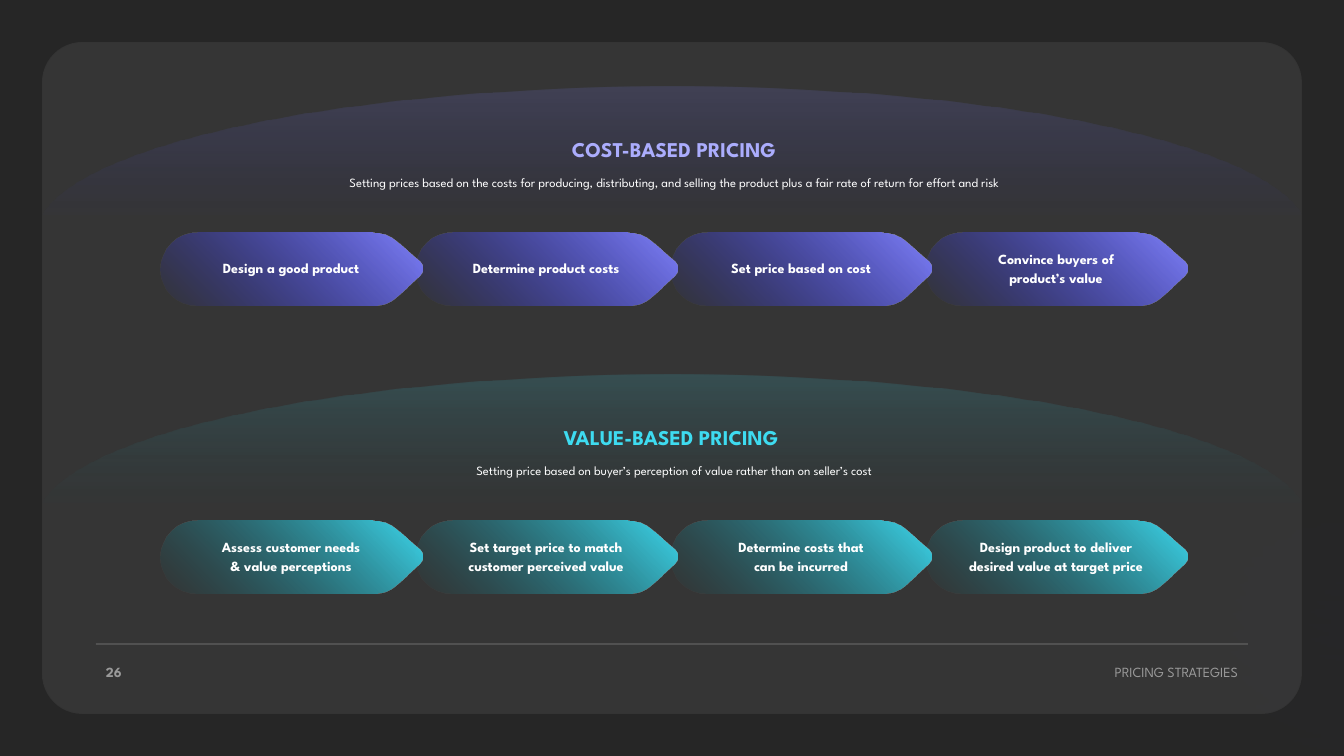
from lxml.etree import SubElement
from pptx import Presentation
from pptx.dml.color import RGBColor
from pptx.enum.shapes import MSO_CONNECTOR, MSO_SHAPE
from pptx.enum.text import MSO_ANCHOR, MSO_AUTO_SIZE, PP_ALIGN
from pptx.oxml import parse_xml
from pptx.oxml.ns import nsdecls, qn
from pptx.util import Pt

FONT = "League Spartan"
WHITE = RGBColor(0xFF, 0xFF, 0xFF)
DARK = RGBColor(0x26, 0x26, 0x26)
GREY = RGBColor(0x59, 0x59, 0x59)
BLUE = RGBColor(0x2D, 0x31, 0xFA)
VIOLET = RGBColor(0x81, 0x83, 0xFC)
LILAC = RGBColor(0xAB, 0xAD, 0xFD)
TEAL = RGBColor(0x0B, 0x7D, 0x8C)
CYAN = RGBColor(0x3E, 0xDB, 0xF0)

PAGE = "26"
FOOTER = "PRICING STRATEGIES"
BANDS = [
    dict(title="COST-BASED PRICING", center=674, top=131, color=LILAC, light=VIOLET, deep=BLUE,
         note="Setting prices based on the costs for producing, distributing, and selling "
              "the product plus a fair rate of return for effort and risk",
         steps=["Design a good product", "Determine product costs",
                "Set price based on cost", "Convince buyers of\nproduct’s value"]),
    dict(title="VALUE-BASED PRICING", center=671, top=420, color=CYAN, light=CYAN, deep=TEAL,
         note="Setting price based on buyer’s perception of value rather than on seller’s cost",
         steps=["Assess customer needs\n& value perceptions",
                "Set target price to match\ncustomer perceived value",
                "Determine costs that\ncan be incurred",
                "Design product to deliver\ndesired value at target price"]),
]
GLOWS = [(-316, -109, 1043, 0), (823, -81, 1042, 195)]
GLOW_SOFTNESS = 280
ARROW_SIZE = (260, 73)
ARROW = [
    ("moveTo", [(234, 8)]),
    ("lnTo", [(258, 29)]),
    ("cubicBezTo", [(262, 33), (262, 39), (258, 43)]),
    ("lnTo", [(234, 65)]),
    ("cubicBezTo", [(228, 70), (220, 73), (211, 73)]),
    ("lnTo", [(37, 73)]),
    ("cubicBezTo", [(17, 73), (0, 57), (0, 37)]),
    ("cubicBezTo", [(0, 16), (17, 0), (37, 0)]),
    ("lnTo", [(211, 0)]),
    ("cubicBezTo", [(220, 0), (228, 3), (234, 8)]),
    ("close", []),
]
STEP_LEFT, STEP_PITCH, BAND_PITCH = 161, 255, 288
SCALE = 914400 / 100.8


def px(n):
    return round(n * SCALE)


def set_alpha(holder, percent):
    for clr in holder.iter(qn("a:srgbClr")):
        SubElement(clr, qn("a:alpha")).set("val", str(percent * 1000))


def set_gradient(shape, stops, shade):
    gs = "".join(
        f'<a:gs pos="{pos * 1000}"><a:srgbClr val="{color}">'
        f'<a:alpha val="{alpha * 1000}"/></a:srgbClr></a:gs>' for pos, color, alpha in stops)
    shape.fill.background()
    old = shape._element.spPr.find(qn("a:noFill"))
    old.getparent().replace(old, parse_xml(
        f'<a:gradFill {nsdecls("a")} rotWithShape="1"><a:gsLst>{gs}</a:gsLst>{shade}</a:gradFill>'))
    shape.line.fill.background()
    shape.shadow.inherit = False


def circle_shade(l, t, r, b):
    return (f'<a:path path="circle"><a:fillToRect l="{l * 1000}" t="{t * 1000}" '
            f'r="{r * 1000}" b="{b * 1000}"/></a:path>')


def write(tf, text, size=10, color=WHITE, bold=False, align=PP_ALIGN.CENTER,
          anchor=MSO_ANCHOR.TOP, wrap=False, spacing=None, alpha=None):
    tf.word_wrap, tf.vertical_anchor = wrap, anchor
    tf.auto_size = MSO_AUTO_SIZE.NONE if wrap else MSO_AUTO_SIZE.SHAPE_TO_FIT_TEXT
    for i, line in enumerate(text.split("\n")):
        p = tf.add_paragraph() if i else tf.paragraphs[0]
        p.alignment = align
        if spacing:
            p.line_spacing = Pt(spacing)
        r = p.add_run()
        r.text = line
        r.font.name, r.font.size, r.font.bold = FONT, Pt(size), bold
        r.font.color.rgb = color
        if alpha:
            set_alpha(r._r, alpha)


def add_shape(s, kind, x, y, w, h):
    return s.shapes.add_shape(kind, px(x), px(y), px(w), px(h))


def add_text(s, x, y, w, h, text, **fmt):
    box = s.shapes.add_textbox(px(x), px(y), px(w), px(h))
    write(box.text_frame, text, **fmt)


def add_step(s, x, y, text, light, deep):
    builder = s.shapes.build_freeform(0, 0, scale=SCALE)
    builder.add_line_segments([ARROW_SIZE])
    step = builder.convert_to_shape(px(x), px(y))
    outline = next(step._element.iter(qn("a:path")))
    for child in list(outline):
        outline.remove(child)
    for command, points in ARROW:
        part = SubElement(outline, qn(f"a:{command}"))
        for dx, dy in points:
            SubElement(part, qn("a:pt"), x=str(dx), y=str(dy))
    set_gradient(step, [(0, light, 100), (100, deep, 0)], circle_shade(100, 0, 0, 100))
    tf = step.text_frame
    tf.margin_top, tf.margin_bottom = 0, px(5)
    write(tf, text, bold=True, anchor=MSO_ANCHOR.MIDDLE, wrap=True, spacing=14)


def add_band(s, y, band, title=None):
    dome = add_shape(s, MSO_SHAPE.OVAL, 37, y, 1270, 295)
    dome.rotation = 180
    set_gradient(dome, [(56, band["deep"], 0), (100, band["light"], 15)],
                 '<a:lin ang="5400000" scaled="0"/>')
    for i, text in reversed(list(enumerate(band["steps"]))):
        add_step(s, STEP_LEFT + i * STEP_PITCH, y + 146, text, band["light"], band["deep"])
    place = (band["center"] - 128, band["top"], 256, 35)
    heading = dict(size=15, color=band["color"], bold=True)
    if title is None:
        add_text(s, *place, band["title"], **heading)
    else:
        s.shapes._spTree.append(title._element)
        title.left, title.top, title.width, title.height = map(px, place)
        write(title.text_frame, band["title"], **heading)
    add_text(s, 282, y + 83, 784, 25, band["note"], size=9)


def main():
    prs = Presentation()
    prs.slide_width, prs.slide_height = px(1344), px(756)
    s = prs.slides.add_slide(prs.slide_layouts[5])
    s.background.fill.solid()
    s.background.fill.fore_color.rgb = DARK

    for x, y, d, turn in GLOWS:
        glow = add_shape(s, MSO_SHAPE.OVAL, x, y, d, d)
        glow.rotation = turn
        set_gradient(glow, [(23, BLUE, 40), (68, BLUE, 5), (100, BLUE, 0)],
                     circle_shade(50, 130, 50, -30))
        effects = glow._element.spPr.find(qn("a:effectLst"))
        SubElement(effects, qn("a:softEdge"), rad=str(px(GLOW_SOFTNESS)))

    panel = add_shape(s, MSO_SHAPE.ROUNDED_RECTANGLE, 42, 42, 1260, 672)
    panel.adjustments[0] = 0.06
    panel.shadow.inherit = False
    panel.fill.solid()
    panel.fill.fore_color.rgb = GREY
    set_alpha(panel._element.spPr, 30)
    panel.line.color.rgb = DARK
    panel.line.width = Pt(1)
    set_alpha(panel.line._ln, 10)

    rule = s.shapes.add_connector(MSO_CONNECTOR.STRAIGHT, px(96), px(644), px(1248), px(644))
    rule.line.color.rgb = WHITE
    rule.line.width = Pt(0.5)
    set_alpha(rule.line._ln, 40)
    SubElement(rule._element.spPr, qn("a:effectLst"))

    footer = dict(anchor=MSO_ANCHOR.MIDDLE, alpha=50)
    add_text(s, 96, 658, 36, 27, PAGE, bold=True, align=PP_ALIGN.LEFT, **footer)
    add_text(s, 1090, 658, 158, 27, FOOTER, align=PP_ALIGN.RIGHT, **footer)

    for i, band in enumerate(BANDS):
        add_band(s, 87 + i * BAND_PITCH, band, None if i else s.shapes.title)
    prs.save("out.pptx")


if __name__ == "__main__":
    main()
